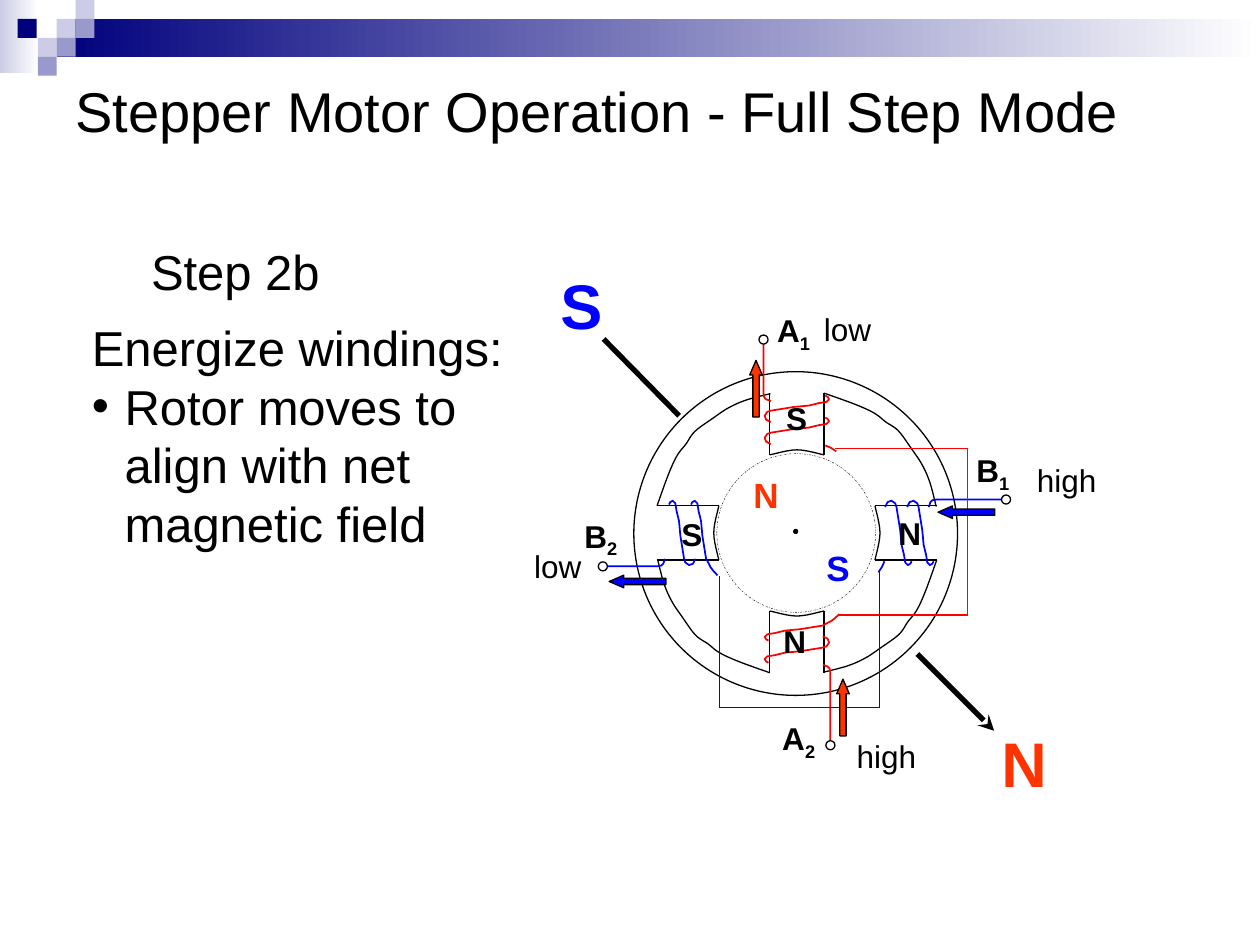
from itertools import pairwise

from lxml.etree import SubElement
from pptx import Presentation
from pptx.dml.color import RGBColor
from pptx.enum.dml import MSO_LINE
from pptx.enum.shapes import MSO_CONNECTOR, MSO_SHAPE
from pptx.enum.text import MSO_ANCHOR, PP_ALIGN
from pptx.oxml.ns import qn
from pptx.util import Pt

RECT, OVAL, ARROW = MSO_SHAPE.RECTANGLE, MSO_SHAPE.OVAL, MSO_SHAPE.DOWN_ARROW
STRAIGHT = MSO_CONNECTOR.STRAIGHT
DASH = MSO_LINE.DASH_DOT
MIDDLE, LEFT = MSO_ANCHOR.MIDDLE, PP_ALIGN.LEFT

BLACK = RGBColor(0x00, 0x00, 0x00)
WHITE = RGBColor(0xFF, 0xFF, 0xFF)
RED = RGBColor(0xFF, 0x00, 0x00)
BLUE = RGBColor(0x00, 0x00, 0xFF)
ORANGE = RGBColor(0xFF, 0x33, 0x00)
NAVY = RGBColor(0x00, 0x00, 0x7D)
LILAC = RGBColor(0x99, 0x99, 0xCC)
PALE = RGBColor(0xCC, 0xCC, 0xE6)

HUB = (455.4, 304.56)
RIM = [(15.5, -79.9), (33.5, -73.4), (44.3, -68.4), (50.8, -63.4), (58, -58.3),
       (65.9, -47.5), (71.6, -38.9), (76, -28.8), (79.6, -15.1)]
FACE = [(-15.5, -44.6), (0, -47.5), (15.5, -44.6)]
TURN = [(-14.8, 0), (-17.6, -1.4), (-18.4, -3.6), (-16.9, -5.8), (-14.8, -6.5),
        (-6.1, -7.9), (-1.8, -8.6), (6.8, -9.4), (12.6, -10.8), (16.9, -11.5),
        (18.4, -13), (17.6, -14.4), (16.2, -15.1)]
LEAD = [(-24.2, 0), (-21.5, -2.5), (-19.5, -4), (-17.4, -5)] + TURN[4:]
TAIL = [(-19.1, -79.9), (-18.7, -77.5), (-17.6, -76.3), (-14.8, -75.4)]
EXIT = [(16.2, -50), (19.3, -48.7), (22.5, -46.6)]
PITCH = 12.6


def turn(points, quarter):
    for _ in range(quarter):
        points = [(-y, x) for x, y in points]
    return [(HUB[0] + x, HUB[1] + y) for x, y in points]


def shift(points, radius):
    return [(x, y - radius) for x, y in points]


def smooth(knots, steps=6):
    ends = [knots[0], *knots, knots[-1]]
    curve = [knots[0]]
    for a, b, c, d in zip(ends, ends[1:], ends[2:], ends[3:]):
        for step in range(1, steps + 1):
            t = step / steps
            curve.append(tuple(
                q + t * (r - p) / 2 + t * t * (2 * p - 5 * q + 4 * r - s) / 2
                + t ** 3 * (3 * q - p - 3 * r + s) / 2
                for p, q, r, s in zip(a, b, c, d)))
    return curve


def add_shape(slide, kind, box, fill=None, line=None, width=0.75):
    shape = slide.shapes.add_shape(kind, *map(Pt, box))
    shape.shadow.inherit = False
    if fill is None:
        shape.fill.background()
    else:
        shape.fill.solid()
        shape.fill.fore_color.rgb = fill
    if line is None:
        shape.line.fill.background()
    else:
        shape.line.color.rgb = line
        shape.line.width = Pt(width)
    return shape


def add_fade(slide, box, start):
    fill = add_shape(slide, RECT, box).fill
    fill.gradient()
    fill.gradient_angle = 0
    for stop, color, place in zip(fill.gradient_stops, (start, WHITE), (0, 1)):
        stop.color.rgb = color
        stop.position = place


def add_disc(slide, spot, size, fill=None, line=BLACK, width=0.75):
    x, y = spot
    return add_shape(slide, OVAL, (x - size / 2, y - size / 2, size, size), fill, line, width)


def add_arrow(slide, spot, angle, color):
    x, y = spot
    arrow = add_shape(slide, ARROW, (x - 3.6, y - 16.2, 7.2, 32.4), color, BLACK)
    arrow.adjustments[0], arrow.adjustments[1] = 0.5, 1.156
    arrow.rotation = angle


def add_line(slide, start, end, color=BLACK, width=0.75):
    line = slide.shapes.add_connector(STRAIGHT, *map(Pt, (*start, *end)))
    line.line.color.rgb = color
    line.line.width = Pt(width)
    SubElement(line._element.spPr, qn("a:effectLst"))
    return line


def add_wire(slide, points, color=BLACK, width=1):
    spots = [(Pt(x), Pt(y)) for x, y in points]
    pen = slide.shapes.build_freeform(*spots[0])
    pen.add_line_segments(spots[1:], close=False)
    wire = pen.convert_to_shape()
    wire.shadow.inherit = False
    wire.fill.background()
    wire.line.color.rgb = color
    wire.line.width = Pt(width)


def style(run, size, color=BLACK, bold=False):
    run.font.name = "Arial"
    run.font.size = Pt(size)
    run.font.bold = bold
    run.font.color.rgb = color


def add_text(slide, text, box, size=18, color=BLACK, bold=False, sub="", wrap=False):
    frame = slide.shapes.add_textbox(*map(Pt, box)).text_frame
    frame.word_wrap = wrap
    frame.text = text
    for para in frame.paragraphs:
        style(para.runs[0], size, color, bold)
    if sub:
        run = frame.paragraphs[0].add_run()
        run.text = sub
        style(run, size, color, bold)
        run._r.get_or_add_rPr().set("baseline", "-25000")
    return frame


def add_header(slide):
    add_fade(slide, (0, 0, 22.3, 41.8), PALE)
    add_fade(slide, (32.4, 10.8, 687.6, 21.6), NAVY)
    for x, y, color in ((32.4, 10.8, PALE), (43.2, 0, PALE), (43.2, 10.8, LILAC),
                        (21.6, 21.6, PALE), (10.1, 10.8, NAVY),
                        (32.4, 21.6, LILAC), (21.6, 32.4, LILAC)):
        add_shape(slide, RECT, (x, y, 10.8, 10.8), color)


def add_title(slide):
    title = slide.shapes.title
    title.left, title.top, title.width, title.height = map(Pt, (36, 36, 648, 54))
    frame = title.text_frame
    frame.text = "Stepper Motor Operation - Full Step Mode"
    frame.vertical_anchor = MIDDLE
    frame.paragraphs[0].alignment = LEFT
    style(frame.paragraphs[0].runs[0], 32)


def add_motor(slide):
    add_disc(slide, (454.7, 304.9), 185, WHITE)
    for quarter in range(4):
        for x in (-15.5, 15.5):
            add_line(slide, *turn([(x, -79.9), (x, -44.6)], quarter))
        for knots in (FACE, RIM):
            add_wire(slide, smooth(turn(knots, quarter)), width=0.75)
    for quarter, (reach, radius) in enumerate(
            ((110.5, 63.4), (119.5, 63), (121.3, 59), (110.9, 58))):
        color = (RED, BLUE)[quarter % 2]
        inner = TURN if quarter < 2 else LEAD
        paths = [shift(TURN, radius), shift(inner, radius - PITCH), [(-19.1, -reach)] + TAIL]
        if quarter < 2:
            paths.append(EXIT)
        for points in paths:
            add_wire(slide, turn(points, quarter), color)
        add_disc(slide, turn([(-19.1, -reach)], quarter)[0], 5.2, WHITE)
    links = (([(477.4, 256.3), (553, 256.3), (553, 351.4), (479.5, 351.4)], RED),
             ([(502.6, 326.9), (502.6, 404.3), (411.1, 404.3), (411.1, 329)], BLUE))
    for points, color in links:
        for start, end in pairwise(points):
            add_line(slide, start, end, color)
    add_disc(slide, (454.7, 303.7), 2.2, BLACK)
    add_disc(slide, (455, 304.6), 90.7, width=0.25).line.dash_style = DASH
    for spot, angle, color in (((432, 222.1), 180, ORANGE), ((481.7, 404.3), 180, ORANGE),
                               ((552.2, 292.7), 90, BLUE), ((364.3, 332.3), 90, BLUE)):
        add_arrow(slide, spot, angle, color)
    add_line(slide, (344.9, 193.7), (388.1, 237.6), width=3)
    field = add_line(slide, (524.2, 373.7), (568.1, 417.6), width=3)
    SubElement(field.line._get_or_add_ln(), qn("a:tailEnd"), type="stealth")


def add_labels(slide):
    for text, sub, x, y in (("A", "1", 437, 174.2), ("B", "1", 550.8, 254.2),
                            ("A", "2", 439.9, 407.5), ("B", "2", 326.9, 291.6),
                            ("N", "", 440.6, 352.1), ("S", "", 442.1, 224.6),
                            ("N", "", 506.2, 290.2), ("S", "", 382.3, 290.9)):
        add_text(slide, text, (x, y, 41.8, 29.5), bold=True, sub=sub, wrap=True)
    for text, x, y, width in (("high", 482.4, 417.6, 52), ("low", 463.7, 173.5, 42),
                              ("low", 298.1, 308.9, 42), ("high", 585.4, 259.9, 52)):
        add_text(slide, text, (x, y, width, 28.8))
    for text, x, y, size, color in (("N", 565.2, 410.4, 36, ORANGE), ("S", 313.2, 149, 36, BLUE),
                                    ("N", 423.4, 267.1, 20, ORANGE), ("S", 465.1, 308.9, 20, BLUE)):
        add_text(slide, text, (x, y, size + 6, size * 1.4), size, color, True)


def add_notes(slide):
    add_text(slide, "Step 2b", (79.2, 134.6, 112, 41), 28)
    text = "Energize windings:\nRotor moves to align with net magnetic field"
    frame = add_text(slide, text, (45.4, 177.8, 249.8, 141.8), 28, wrap=True)
    for para in frame.paragraphs:
        props = para._p.get_or_add_pPr()
        props.set("marL", str(Pt(18.7)))
        props.set("indent", str(-Pt(18.7)))
    SubElement(props, qn("a:buFont"), typeface="Arial")
    SubElement(props, qn("a:buChar"), char="•")


def main():
    deck = Presentation()
    deck.slide_width, deck.slide_height = Pt(720), Pt(540)
    slide = deck.slides.add_slide(deck.slide_layouts[5])
    add_header(slide)
    add_title(slide)
    add_motor(slide)
    add_labels(slide)
    add_notes(slide)
    deck.save("out.pptx")


if __name__ == "__main__":
    main()
